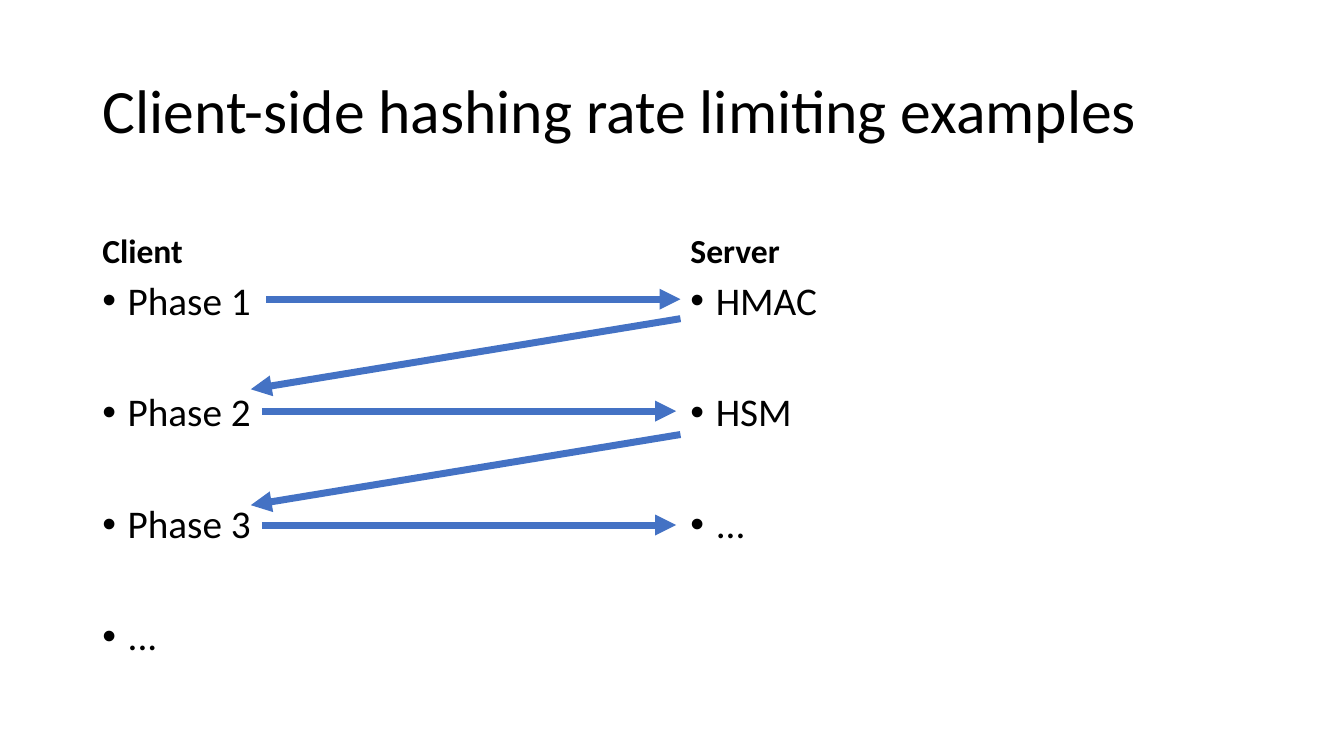
from lxml.etree import SubElement
from pptx import Presentation
from pptx.dml.color import RGBColor
from pptx.enum.shapes import MSO_CONNECTOR as Connector
from pptx.enum.text import MSO_ANCHOR as Anchor, MSO_AUTO_SIZE as AutoSize, PP_ALIGN as Align
from pptx.oxml.ns import qn
from pptx.util import Cm, Pt

COLORS = {"text": "000000", "arrow": "4472C4"}
FONT = "Calibri"


class SlideBuilder:
    def __init__(self, deck):
        self.slide = deck.slides.add_slide(deck.slide_layouts[5])

    def format_text(self, para, size, bold=False):
        para.alignment = Align.LEFT
        para.line_spacing = 0.9
        for span in para.runs:
            span.font.name = FONT
            span.font.size = Pt(size)
            span.font.bold = bold
            span.font.color.rgb = RGBColor.from_string(COLORS["text"])

    def title(self, text, left, top, width, height):
        box = self.slide.shapes.title
        box.left, box.top, box.width, box.height = map(Cm, (left, top, width, height))
        frame = box.text_frame
        frame.text = text
        frame.auto_size = AutoSize.NONE
        frame.vertical_anchor = Anchor.MIDDLE
        self.format_text(frame.paragraphs[0], 44)

    def text_box(self, left, top, width, height, anchor):
        box = self.slide.shapes.add_textbox(*map(Cm, (left, top, width, height)))
        box.text_frame.word_wrap = True
        box.text_frame.vertical_anchor = anchor
        return box.text_frame

    def heading(self, text, left, top, width, height):
        frame = self.text_box(left, top, width, height, Anchor.BOTTOM)
        frame.text = text
        self.format_text(frame.paragraphs[0], 24, bold=True)

    def bullets(self, items, left, top, width, height):
        frame = self.text_box(left, top, width, height, Anchor.TOP)
        frame.text = "\n".join(items)
        for index, para in enumerate(frame.paragraphs):
            self.format_text(para, 28)
            if index:
                para.space_before = Pt(49.7)
            props = para._p.get_or_add_pPr()
            props.set("marL", str(Cm(0.64)))
            props.set("indent", str(-Cm(0.64)))
            SubElement(props, qn("a:buFont"), typeface="Arial")
            SubElement(props, qn("a:buChar"), char="•")

    def arrow(self, start_x, start_y, end_x, end_y):
        line = self.slide.shapes.add_connector(
            Connector.STRAIGHT, *map(Cm, (start_x, start_y, end_x, end_y)))
        line.line.color.rgb = RGBColor.from_string(COLORS["arrow"])
        line.line.width = Pt(5)
        SubElement(line.line._get_or_add_ln(), qn("a:tailEnd"), type="triangle")
        SubElement(line._element.spPr, qn("a:effectLst"))


def main():
    deck = Presentation()
    deck.slide_width, deck.slide_height = Cm(33.87), Cm(19.05)
    builder = SlideBuilder(deck)
    builder.title("Client-side hashing rate limiting examples", 2.33, 1.02, 29.21, 3.68)

    # Client and server columns
    columns = [
        ("Client", ["Phase 1", "Phase 2", "Phase 3", "..."], 2.33, 14.33),
        ("Server", ["HMAC", "HSM", "..."], 17.15, 14.4),
    ]
    for heading, items, left, width in columns:
        builder.heading(heading, left, 4.67, width, 2.29)
        builder.bullets(items, left, 6.96, width, 10.24)

    # Requests from client to server
    for start_x, y in [(6.71, 7.54), (6.6, 10.36), (6.6, 13.23)]:
        builder.arrow(start_x, y, start_x + 10.44, y)

    # Replies that lead to the next phase
    for y in (8.03, 10.95):
        builder.arrow(17.15, y, 6.32, y + 1.78)

    deck.save("out.pptx")


if __name__ == "__main__":
    main()
